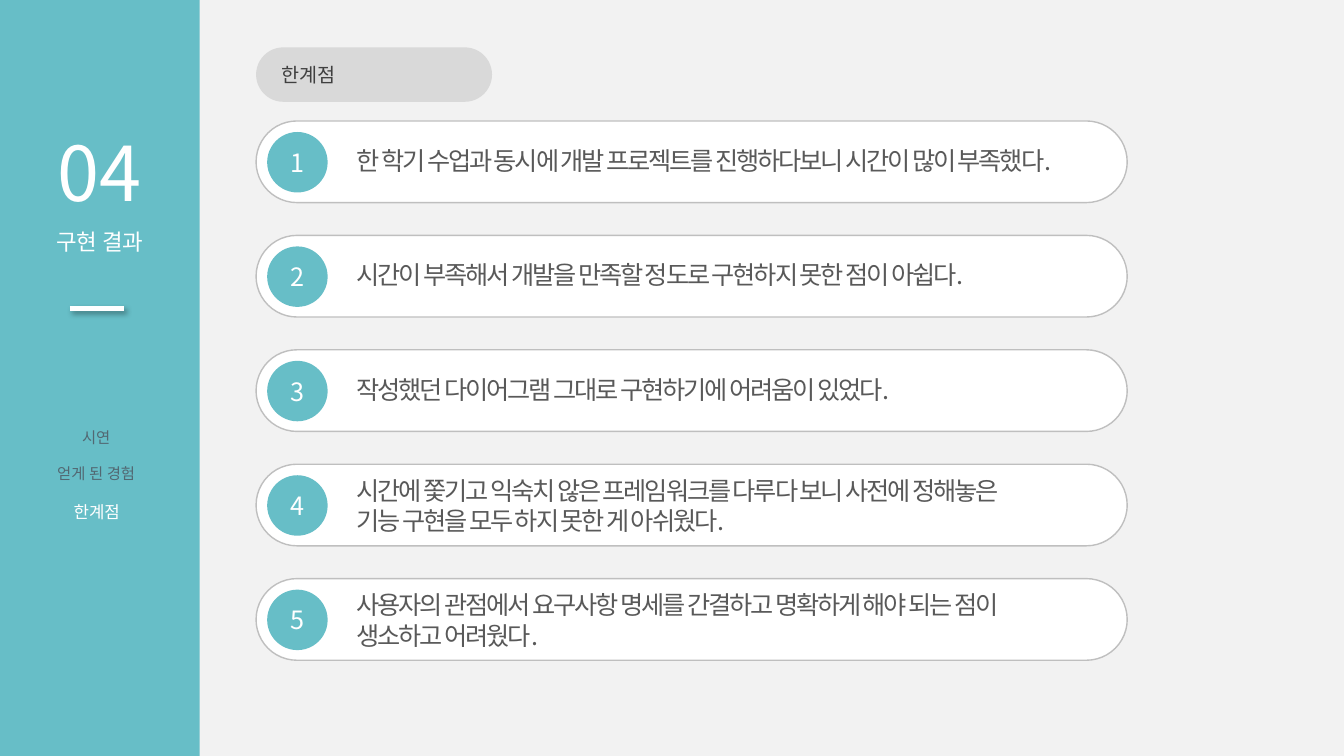
from dataclasses import dataclass

import pptx
import pptx.dml.color
import pptx.enum.dml
import pptx.enum.shapes
import pptx.enum.text
import pptx.oxml
import pptx.oxml.ns
import pptx.util
from lxml import etree

Inches = pptx.util.Inches
Kind = pptx.enum.shapes.MSO_SHAPE
Align = pptx.enum.text.PP_ALIGN
Anchor = pptx.enum.text.MSO_ANCHOR
Fit = pptx.enum.text.MSO_AUTO_SIZE

FONT = "Noto Sans CJK KR"
HUES = {
    "back": "F2F2F2",
    "teal": "67BEC7",
    "white": "FFFFFF",
    "slate": "526872",
    "pill": "D9D9D9",
    "edge": "BFBFBF",
    "head": "404040",
    "body": "595959",
}
FIRST, LAST = 1.2, 5.74


@dataclass
class Box:
    left: float
    top: float
    width: float
    height: float


@dataclass
class Label:
    text: str
    box: Box
    size: float
    hue: str


LABELS = [
    Label("구현 결과", Box(0.43, 2.21, 1.12, 0.37), 16, "white"),
    Label("04", Box(0.36, 1.2, 1.25, 1.01), 54, "white"),
    Label("시연", Box(0.71, 4.2, 0.49, 0.29), 11, "slate"),
    Label("얻게 된 경험", Box(0.44, 4.56, 1.03, 0.29), 11, "slate"),
    Label("한계점", Box(0.62, 4.93, 0.68, 0.3), 12, "white"),
]
LIMITS = [
    "한 학기 수업과 동시에 개발 프로젝트를 진행하다보니 시간이 많이 부족했다.",
    "시간이 부족해서 개발을 만족할 정도로 구현하지 못한 점이 아쉽다.",
    "작성했던 다이어그램 그대로 구현하기에 어려움이 있었다.",
    "시간에 쫓기고 익숙치 않은 프레임워크를 다루다 보니 사전에 정해놓은\n"
    "기능 구현을 모두 하지 못한 게 아쉬웠다.",
    "사용자의 관점에서 요구사항 명세를 간결하고 명확하게 해야 되는 점이\n"
    "생소하고 어려웠다.",
]


def tint(name: str) -> pptx.dml.color.RGBColor:
    return pptx.dml.color.RGBColor.from_string(HUES[name])


def place(box: Box) -> tuple:
    return tuple(Inches(n) for n in (box.left, box.top, box.width, box.height))


def style(frame, size: float, hue: str, align=Align.LEFT, space: int = 0) -> None:
    for para in frame.paragraphs:
        para.alignment = align
        for run in para.runs:
            run.font.size = pptx.util.Pt(size)
            run.font.color.rgb = tint(hue)
            run.font.name = FONT
            props = run.font._element
            east = etree.SubElement(props, pptx.oxml.ns.qn("a:ea"))
            east.set("typeface", FONT)
            if space:
                props.set("spc", str(space))


def draw_shape(slide, kind, box: Box, fill: str, edge: str = ""):
    shape = slide.shapes.add_shape(kind, *place(box))
    shape.shadow.inherit = False
    shape.fill.solid()
    shape.fill.fore_color.rgb = tint(fill)
    if edge:
        shape.line.color.rgb = tint(edge)
        shape.line.width = pptx.util.Pt(1)
    else:
        shape.line.fill.background()
    if kind == Kind.ROUNDED_RECTANGLE:
        shape.adjustments[0] = 0.5
    return shape


def draw_text(slide, label: Label, align=Align.CENTER, wrap=False, space: int = 0) -> None:
    frame = slide.shapes.add_textbox(*place(label.box)).text_frame
    frame.text = label.text
    frame.word_wrap = wrap
    frame.auto_size = Fit.SHAPE_TO_FIT_TEXT
    style(frame, label.size, label.hue, align, space)


def draw_rule(slide) -> None:
    rule = slide.shapes.add_connector(
        pptx.enum.shapes.MSO_CONNECTOR.STRAIGHT,
        Inches(0.69), Inches(3.06), Inches(1.23), Inches(3.06),
    )
    rule.line.color.rgb = tint("white")
    rule.line.width = pptx.util.Pt(3)
    blur, dist = pptx.util.Pt(4), pptx.util.Pt(3)
    rule.element.spPr.append(pptx.oxml.parse_xml(
        f'<a:effectLst {pptx.oxml.ns.nsdecls("a")}>'
        f'<a:outerShdw blurRad="{blur}" dist="{dist}" dir="2700000" algn="tl" rotWithShape="0">'
        '<a:srgbClr val="000000"><a:alpha val="40000"/></a:srgbClr>'
        "</a:outerShdw></a:effectLst>"
    ))


def draw_title(slide) -> None:
    draw_shape(slide, Kind.ROUNDED_RECTANGLE, Box(2.54, 0.47, 2.34, 0.54), "pill")
    title = slide.shapes.title
    title.left, title.top, title.width, title.height = place(Box(2.69, 0.57, 0.75, 0.34))
    frame = title.text_frame
    frame.text = "한계점"
    frame.word_wrap = False
    frame.auto_size = Fit.SHAPE_TO_FIT_TEXT
    frame.vertical_anchor = Anchor.TOP
    frame.paragraphs[0].line_spacing = 1.0
    frame.paragraphs[0].space_before = pptx.util.Pt(0)
    style(frame, 14, "head")
    slide.shapes.element.append(title.element)


def draw_limit(slide, index: int, text: str) -> None:
    top = FIRST + index * (LAST - FIRST) / (len(LIMITS) - 1)
    draw_shape(slide, Kind.ROUNDED_RECTANGLE, Box(2.54, top, 8.64, 0.81), "white", "edge")
    badge = draw_shape(slide, Kind.OVAL, Box(2.65, top + 0.11, 0.6, 0.6), "teal")
    badge.text_frame.text = str(index + 1)
    badge.text_frame.vertical_anchor = Anchor.MIDDLE
    style(badge.text_frame, 18, "white", Align.CENTER)
    extra = text.count("\n")
    box = Box(3.44, top + 0.19 - 0.13 * extra, 8.15, 0.4 + 0.31 * extra)
    draw_text(slide, Label(text, box, 18, "body"), Align.LEFT, True, -150)


def main() -> None:
    deck = pptx.Presentation()
    deck.slide_width, deck.slide_height = Inches(13.33), Inches(7.5)
    slide = deck.slides.add_slide(deck.slide_layouts.get_by_name("Title Only"))
    slide.background.fill.solid()
    slide.background.fill.fore_color.rgb = tint("back")
    draw_shape(slide, Kind.RECTANGLE, Box(0, 0, 1.98, 7.5), "teal")
    for label in LABELS:
        draw_text(slide, label)
    draw_rule(slide)
    draw_title(slide)
    for index, text in enumerate(LIMITS):
        draw_limit(slide, index, text)
    deck.save("out.pptx")


if __name__ == "__main__":
    main()
